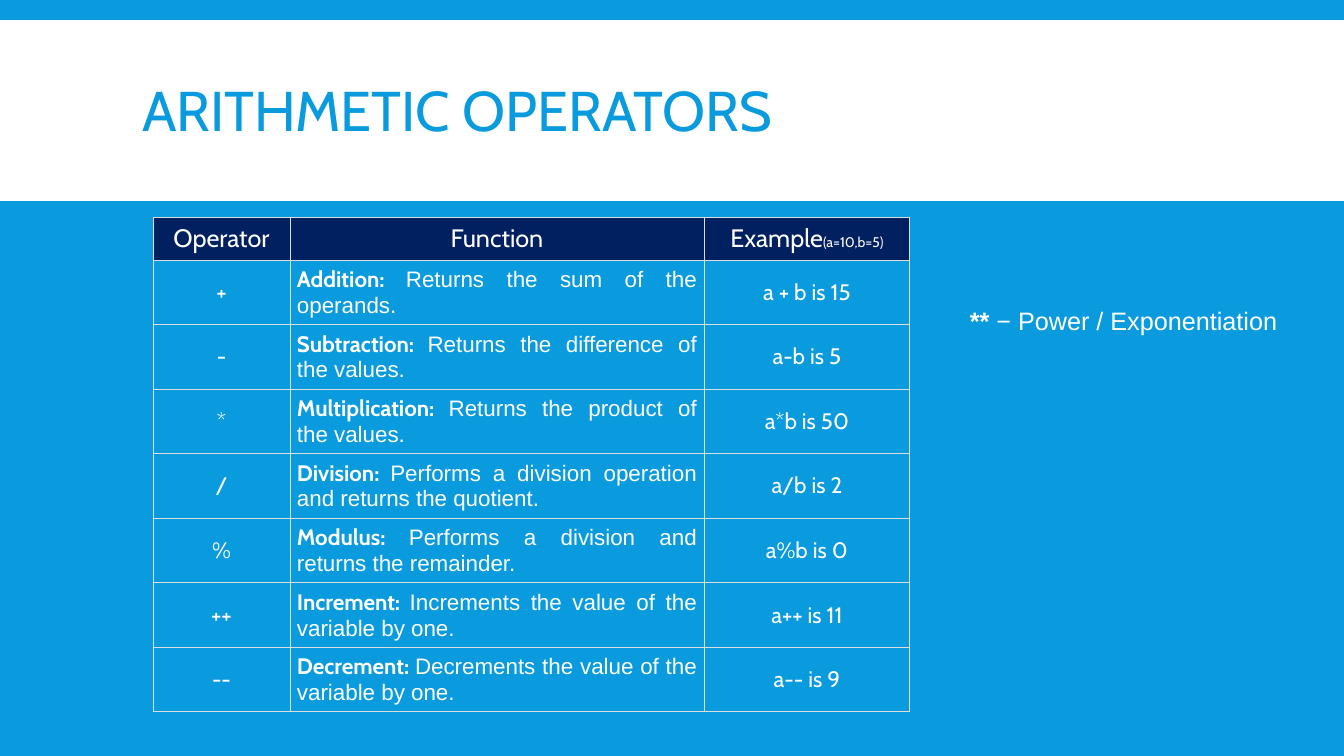
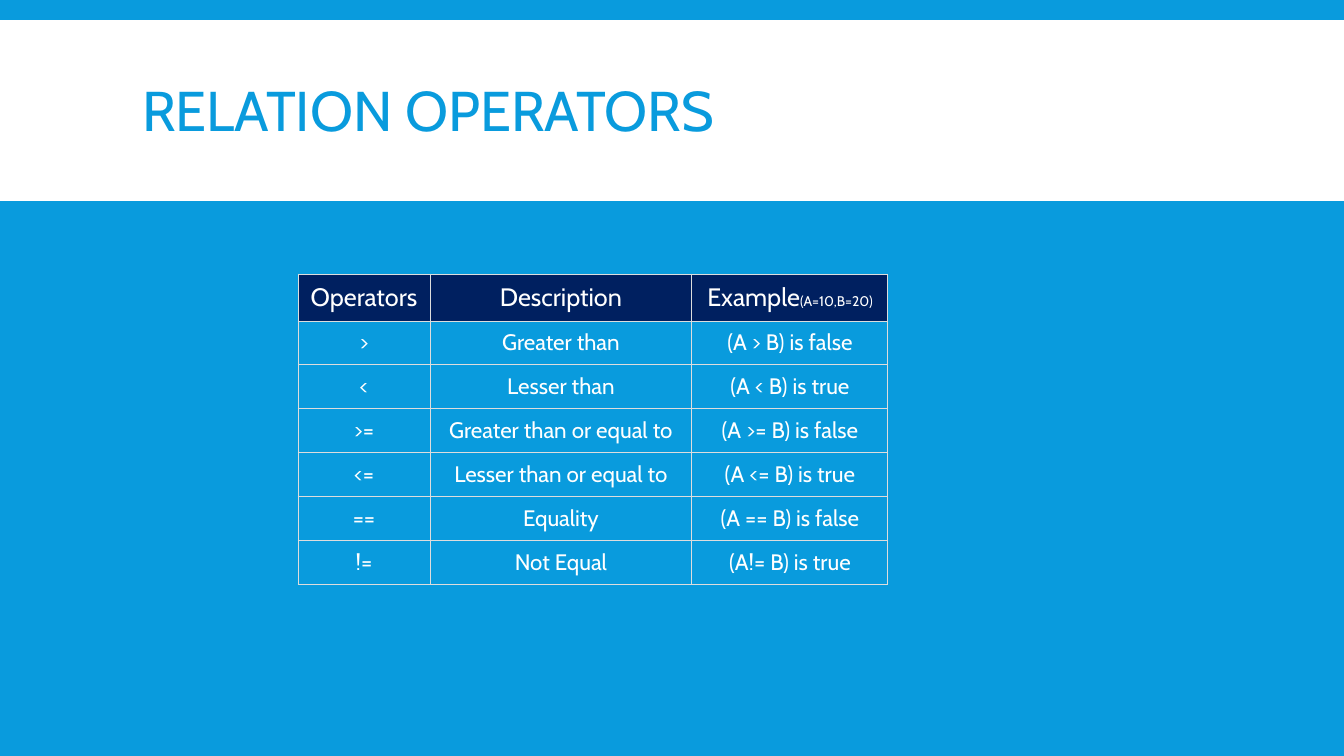
"""Build two slides that tabulate arithmetic and relation operators."""
from dataclasses import dataclass

from lxml import etree
from pptx import Presentation
from pptx.dml.color import RGBColor
from pptx.enum.shapes import MSO_SHAPE
from pptx.enum.text import MSO_ANCHOR, MSO_AUTO_SIZE, PP_ALIGN
from pptx.oxml.ns import qn
from pptx.util import Pt

RECTANGLE = MSO_SHAPE.RECTANGLE
TOP, MIDDLE, BOTTOM = MSO_ANCHOR.TOP, MSO_ANCHOR.MIDDLE, MSO_ANCHOR.BOTTOM
LEFT, CENTER, JUSTIFY = PP_ALIGN.LEFT, PP_ALIGN.CENTER, PP_ALIGN.JUSTIFY
GROW = MSO_AUTO_SIZE.SHAPE_TO_FIT_TEXT
EMU_PER_PIXEL = 914400 / 100.8
TITLE_ONLY = 5


@dataclass(frozen=True)
class Theme:
    blue: RGBColor = RGBColor(0x09, 0x9B, 0xDD)
    navy: RGBColor = RGBColor(0x00, 0x20, 0x60)
    white: RGBColor = RGBColor(0xFF, 0xFF, 0xFF)
    border: str = "DDDDDD"
    border_width: Pt = Pt(0.75)
    heading_font: str = "Cabin"
    text_font: str = "Arial"
    title_size: Pt = Pt(40)
    header_size: Pt = Pt(18)
    body_size: Pt = Pt(16)
    small_size: Pt = Pt(10)


theme = Theme()

TABLES = [
    {
        "title": "ARITHMETIC OPERATORS",
        "at": (153, 217), "columns": (137, 414, 206), "header_height": 43, "body_height": 452,
        "insets": (7, 6), "header_anchor": BOTTOM, "middle_align": JUSTIFY,
        "header": (("Operator",), ("Function",), ("Example", "(a=10,b=5)")),
        "body": (
            (("+",), ("Addition: ", "Returns the sum of the operands."), ("a + b is 15",)),
            (("-",), ("Subtraction: ", "Returns the difference of the values."), ("a-b is 5",)),
            (("*",), ("Multiplication: ", "Returns the product of the values."), ("a*b is 50",)),
            (("/",), ("Division: ", "Performs a division operation and returns the quotient."),
             ("a/b is 2",)),
            (("%",), ("Modulus: ", "Performs a division and returns the remainder."),
             ("a%b is 0",)),
            (("++",), ("Increment: ", "Increments the value of the variable by one."),
             ("a++ is 11",)),
            (("--",), ("Decrement: ", "Decrements the value of the variable by one."),
             ("a-- is 9",)),
        ),
    },
    {
        "title": "RELATION OPERATORS",
        "at": (298, 274), "columns": (132, 262, 196), "header_height": 47, "body_height": 264,
        "insets": (8, 8), "header_anchor": TOP, "middle_align": CENTER,
        "header": (("Operators",), ("Description",), ("Example", "(A=10,B=20)")),
        "body": (
            ((">",), ("Greater than",), ("(A > B) is false",)),
            (("<",), ("Lesser than",), ("(A < B) is true",)),
            ((">=",), ("Greater than or equal to",), ("(A >= B) is false",)),
            (("<=",), ("Lesser than or equal to",), ("(A <= B) is true",)),
            (("==",), ("Equality",), ("(A == B) is false",)),
            (("!=",), ("Not Equal",), ("(A!= B) is true",)),
        ),
    },
]


def px(*lengths):
    return [round(length * EMU_PER_PIXEL) for length in lengths]


def style_font(font, name, size, color, bold=False):
    font.name, font.size, font.bold = name, size, bold
    font.color.rgb = color


deck = Presentation()
deck.slide_width, deck.slide_height = px(1344, 756)
layout = deck.slide_layouts[TITLE_ONLY]

pages = []
for content in TABLES:
    page = deck.slides.add_slide(layout)
    pages.append(page)
    background = page.background.fill
    background.solid()
    background.fore_color.rgb = theme.blue

    band = page.shapes.add_shape(RECTANGLE, *px(0, 20, 1344, 181))
    band.shadow.inherit = False
    band.fill.solid()
    band.fill.fore_color.rgb = theme.white
    band.line.fill.background()

    title = page.shapes.title
    title.left, title.top, title.width, title.height = px(132, 31, 1079, 166)
    title.text_frame.text = content["title"]
    title.text_frame.vertical_anchor = MIDDLE
    para = title.text_frame.paragraphs[0]
    para.alignment, para.line_spacing = LEFT, 0.85
    style_font(para.font, theme.heading_font, theme.title_size, theme.blue)
    title.element.addprevious(band.element)

    rows = (content["header"], *content["body"])
    row_height = content["body_height"] / len(content["body"])
    frame = page.shapes.add_table(
        len(rows), len(content["columns"]),
        *px(*content["at"], sum(content["columns"]),
            content["header_height"] + content["body_height"]))
    table = frame.table
    table.horz_banding = False
    for column, width in zip(table.columns, px(*content["columns"])):
        column.width = width

    side_inset, end_inset = px(*content["insets"])
    for row_index, row in enumerate(rows):
        is_header = row_index == 0
        table.rows[row_index].height = px(content["header_height"] if is_header else row_height)[0]
        for column_index, texts in enumerate(row):
            is_middle = column_index == 1
            cell = table.cell(row_index, column_index)
            cell.margin_left = cell.margin_right = side_inset
            cell.margin_top = cell.margin_bottom = end_inset
            properties = cell._tc.get_or_add_tcPr()
            for side in ("a:lnL", "a:lnR", "a:lnT", "a:lnB"):
                line = etree.SubElement(properties, qn(side), w=str(theme.border_width))
                fill = etree.SubElement(line, qn("a:solidFill"))
                etree.SubElement(fill, qn("a:srgbClr"), val=theme.border)

            para = cell.text_frame.paragraphs[0]
            para.alignment = content["middle_align"] if is_middle and not is_header else CENTER
            cell.fill.solid()
            cell.fill.fore_color.rgb = theme.navy if is_header else theme.blue
            if is_header:
                cell.vertical_anchor = content["header_anchor"]
            else:
                cell.vertical_anchor = TOP if is_middle else MIDDLE

            size = theme.header_size if is_header else theme.body_size
            for text_index, text in enumerate(texts):
                span = para.add_run()
                span.text = text
                is_detail = text_index == 1
                style_font(
                    span.font,
                    theme.text_font if is_detail and not is_header else theme.heading_font,
                    theme.small_size if is_detail and is_header else size,
                    theme.white,
                    bold=len(texts) == 2 and not is_header and not is_detail)

power_note = pages[0].shapes.add_textbox(*px(960, 300, 354, 40)).text_frame
power_note.word_wrap = True
power_note.auto_size = GROW
para = power_note.paragraphs[0]
para.alignment = JUSTIFY
for text, bold in (("**", True), ("\u00a0\u2212 Power / Exponentiation", False)):
    span = para.add_run()
    span.text = text
    style_font(span.font, theme.text_font, theme.header_size, theme.white, bold)

deck.save("out.pptx")
